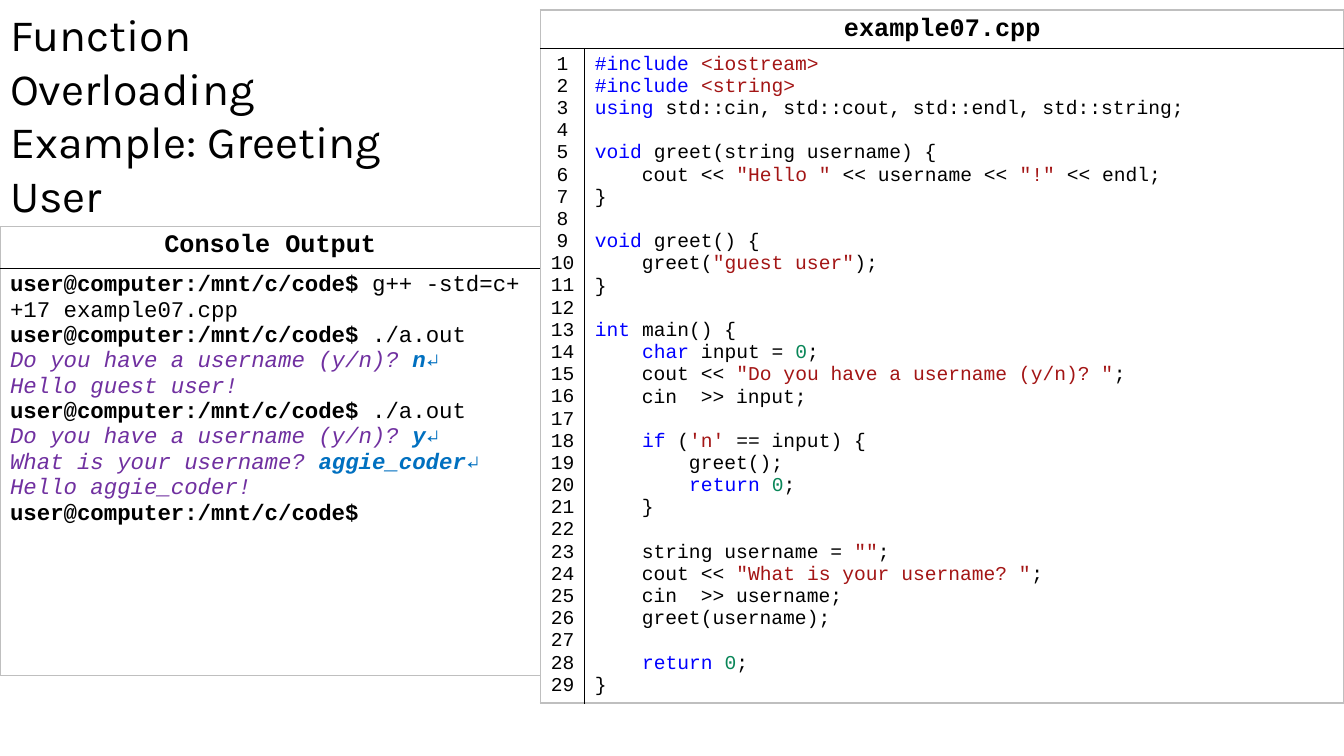
"""Build a slide showing a C++ overloading example beside its console output."""
from lxml import etree
from pptx import Presentation
from pptx import util as u
from pptx.dml.color import RGBColor
from pptx.enum import text
from pptx.oxml.ns import qn

CONSOLE = """\
puser@computer:/mnt/c/code$|c g++ -std=c++17 example07.cpp
puser@computer:/mnt/c/code$|c ./a.out
oDo you have a username (y/n)? |in↵
oHello guest user!
puser@computer:/mnt/c/code$|c ./a.out
oDo you have a username (y/n)? |iy↵
oWhat is your username? |iaggie_coder↵
oHello aggie_coder!
puser@computer:/mnt/c/code$"""

CODE = """\
k#include |s<iostream>
k#include |s<string>
kusing|c std::cin, std::cout, std::endl, std::string;

kvoid|c greet(string username) {
c    cout << |s"Hello "|c << username << |s"!"|c << endl;
c}

kvoid|c greet() {
c    greet(|s"guest user"|c);
c}

kint|c main() {
c    |kchar|c input = |n0|c;
c    cout << |s"Do you have a username (y/n)? "|c;
c    cin  >> input;

c    |kif|c (|s'n'|c == input) {
c        greet();
c        |kreturn |n0|c;
c    }

c    string username = |s""|c;
c    cout << |s"What is your username? "|c;
c    cin  >> username;
c    greet(username);

c    |kreturn |n0|c;
c}"""


def rgb(value):
    return RGBColor.from_string(value)


class SlideBuilder:
    mono, heading = "Courier New", "Karla"
    black, frame = "000000", "BFBFBF"
    blank_line = u.Pt(15.86)
    styles = {
        "h": {"color": black, "bold": True},
        "p": {"color": black, "bold": True},
        "c": {"color": black},
        "o": {"color": "7030A0", "italic": True},
        "i": {"color": "0070C0", "italic": True, "bold": True},
        "k": {"color": "0000FF"},
        "s": {"color": "A31515"},
        "n": {"color": "098658"},
    }

    def __init__(self, prs):
        self.slide = prs.slides.add_slide(prs.slide_layouts[5])

    def run(self, p, words, size, name, color, **formats):
        r = p.add_run()
        r.text = words
        r.font.color.rgb = rgb(color)
        values = {"size": u.Pt(size), "name": name, "bold": False, **formats}
        for key, value in values.items():
            setattr(r.font, key, value)

    def title(self, words, left, top, width, height):
        sp = self.slide.shapes.title
        box = {"left": left, "top": top, "width": width, "height": height}
        for key, value in box.items():
            setattr(sp, key, u.Inches(value))
        tf = sp.text_frame
        layout = {"word_wrap": True, "auto_size": text.MSO_AUTO_SIZE.NONE,
                  "vertical_anchor": text.MSO_ANCHOR.BOTTOM}
        for key, value in layout.items():
            setattr(tf, key, value)
        p = tf.paragraphs[0]
        p.alignment = text.PP_ALIGN.LEFT
        self.run(p, words, 32, self.heading, self.black)

    def table(self, left, top, widths, heights):
        table = self.slide.shapes.add_table(
            len(heights), len(widths), u.Inches(left), u.Inches(top),
            u.Inches(sum(widths)), u.Inches(sum(heights))).table
        table.first_row = table.horz_banding = False
        for column, width in zip(table.columns, widths):
            column.width = u.Inches(width)
        for row, height in zip(table.rows, heights):
            row.height = u.Inches(height)
        for c in range(len(widths)):
            last = c == len(widths) - 1
            self.borders(table.cell(0, c), {"B"})
            inner = {"T"} | ({"L"} if c else set()) | (set() if last else {"R"})
            self.borders(table.cell(1, c), inner)
        if len(widths) > 1:
            table.cell(0, 0).merge(table.cell(0, len(widths) - 1))
        return table

    def borders(self, cell, inner):
        tc_pr = cell._tc.get_or_add_tcPr()
        for side in "LRTB":
            line = etree.SubElement(tc_pr, qn("a:ln" + side), w=str(u.Pt(1)))
            fill = etree.SubElement(line, qn("a:solidFill"))
            color = self.black if side in inner else self.frame
            etree.SubElement(fill, qn("a:srgbClr"), val=color)
        cell.fill.background()

    def lines(self, cell, content, size, align=text.PP_ALIGN.LEFT):
        p, gap = cell.text_frame.paragraphs[0], False
        for i, line in enumerate(content.split("\n")):
            if not line:
                gap = True
                continue
            if i:
                p = cell.text_frame.add_paragraph()
            p.alignment = align
            if gap:
                p.space_before, gap = self.blank_line, False
            for part in line.split("|"):
                self.run(p, part[1:], size, self.mono, **self.styles[part[0]])


def main():
    prs = Presentation()
    prs.slide_width, prs.slide_height = u.Inches(13.33), u.Inches(7.5)
    s = SlideBuilder(prs)
    center = text.PP_ALIGN.CENTER
    s.title("Function Overloading Example: Greeting User", 0, 0.5, 4.3, 1.75)

    console = s.table(0, 2.25, [5.36], [0.41, 4.04])
    s.lines(console.cell(0, 0), "hConsole Output", 18, center)
    s.lines(console.cell(1, 0), CONSOLE, 16)

    listing = s.table(5.36, 0.1, [0.44, 7.53], [0.38, 6.49])
    count = len(CODE.split("\n"))
    numbers = "\n".join(f"c{n}" for n in range(1, count + 1))
    s.lines(listing.cell(0, 0), "hexample07.cpp", 18, center)
    s.lines(listing.cell(1, 0), numbers, 14, center)
    s.lines(listing.cell(1, 1), CODE, 14)
    prs.save("out.pptx")


if __name__ == "__main__":
    main()
